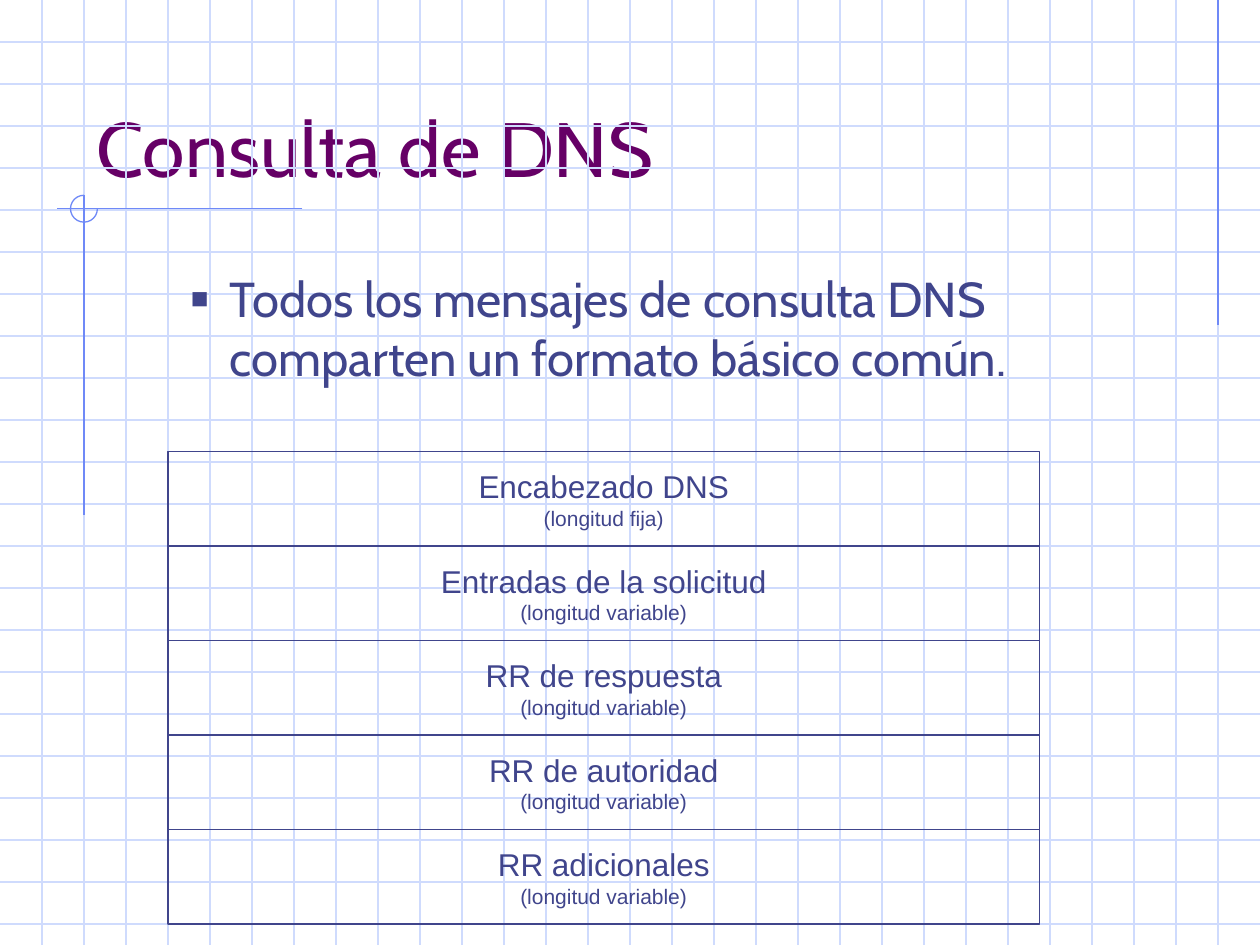
from typing import NamedTuple

from lxml import etree
from pptx import Presentation
from pptx.dml.color import RGBColor
from pptx.enum.shapes import MSO_CONNECTOR, MSO_SHAPE
from pptx.enum.text import MSO_ANCHOR, MSO_AUTO_SIZE, PP_ALIGN
from pptx.oxml.ns import qn
from pptx.util import Inches, Pt

STRAIGHT = MSO_CONNECTOR.STRAIGHT
RECTANGLE, ARC = MSO_SHAPE.RECTANGLE, MSO_SHAPE.ARC
TOP, MIDDLE, BOTTOM = MSO_ANCHOR.TOP, MSO_ANCHOR.MIDDLE, MSO_ANCHOR.BOTTOM
LEFT, CENTER = PP_ALIGN.LEFT, PP_ALIGN.CENTER
NO_AUTOFIT = MSO_AUTO_SIZE.NONE

COLORS = {"grid": "CFDBFD", "accent": "6F89F7", "title": "660066", "text": "40458C"}
COLUMNS, ROWS = 30, 22.5  # square cells of a third of an inch
CELL = Inches(10) // COLUMNS
LINE_WIDTH = Pt(0.75)


class Segment(NamedTuple):
    """A straight line, in grid columns and rows."""
    x1: float
    y1: float
    x2: float
    y2: float


class Box(NamedTuple):
    """An area, in grid columns and rows."""
    column: float
    row: float
    width: float
    height: float


class Section(NamedTuple):
    name: str
    length: str


ACCENT_LINES = [
    Segment(29, 0, 29, 7.74),
    Segment(7.2, 4.97, 1.36, 4.97),
    Segment(2, 4.65, 2, 12.27),
]
ACCENT_ARC = Box(1.68, 4.65, 0.64, 0.64)
TITLE_BOX = Box(2, 1, 25.5, 3.75)
BODY_BOX = Box(2.75, 6.25, 25.5, 13.5)
FIRST_SECTION = Box(4, 10.75, 20.75, 2.25)
SECTIONS = [
    Section("Encabezado DNS", "(longitud fija)"),
    Section("Entradas de la solicitud", "(longitud variable)"),
    Section("RR de respuesta", "(longitud variable)"),
    Section("RR de autoridad", "(longitud variable)"),
    Section("RR adicionales", "(longitud variable)"),
]


def color(name: str) -> RGBColor:
    return RGBColor.from_string(COLORS[name])


def lengths(values: tuple) -> list[int]:
    return [round(value * CELL) for value in values]


def style_line(line, color_name: str) -> None:
    line.color.rgb = color(color_name)
    line.width = LINE_WIDTH


def draw_segment(slide, segment: Segment, color_name: str) -> None:
    connector = slide.shapes.add_connector(STRAIGHT, *lengths(segment))
    style_line(connector.line, color_name)
    etree.SubElement(connector._element.spPr, qn("a:effectLst"))


def draw_outline(slide, kind, box: Box, color_name: str):
    """Add an unfilled preset shape."""
    shape = slide.shapes.add_shape(kind, *lengths(box))
    shape.shadow.inherit = False
    shape.fill.background()
    style_line(shape.line, color_name)
    return shape


def format_paragraph(paragraph, font_name: str, size: float, color_name: str,
                     alignment=LEFT) -> None:
    paragraph.alignment = alignment
    for run in paragraph.runs:
        run.font.name = font_name
        run.font.size = Pt(size)
        run.font.color.rgb = color(color_name)


def draw_background(slide) -> None:
    for row in range(1, int(ROWS) + 1):
        draw_segment(slide, Segment(0, row, COLUMNS, row), "grid")
    for column in range(1, COLUMNS):
        draw_segment(slide, Segment(column, 0, column, ROWS), "grid")
    for segment in ACCENT_LINES:
        draw_segment(slide, segment, "accent")
    arc = draw_outline(slide, ARC, ACCENT_ARC, "accent")
    arc.adjustments[0] = 0
    arc.adjustments[1] = 162  # 270 degrees


def write_title(slide, text: str) -> None:
    title = slide.shapes.title
    title.left, title.top, title.width, title.height = lengths(TITLE_BOX)
    frame = title.text_frame
    frame.text = text
    frame.auto_size = NO_AUTOFIT
    frame.vertical_anchor = BOTTOM
    format_paragraph(frame.paragraphs[0], "Cabin", 44, "title")


def add_square_bullet(paragraph) -> None:
    properties = paragraph._p.get_or_add_pPr()
    properties.set("marL", str(Inches(0.81)))
    properties.set("indent", str(Inches(-0.31)))
    bullet_color = etree.SubElement(properties, qn("a:buClr"))
    etree.SubElement(bullet_color, qn("a:srgbClr"), val=COLORS["text"])
    etree.SubElement(properties, qn("a:buSzPct"), val="60000")
    etree.SubElement(properties, qn("a:buFont"), typeface="Arial")
    etree.SubElement(properties, qn("a:buChar"), char="■")


def write_body(slide, text: str) -> None:
    frame = slide.shapes.add_textbox(*lengths(BODY_BOX)).text_frame
    frame.word_wrap = True
    frame.vertical_anchor = TOP
    frame.text = text
    paragraph = frame.paragraphs[0]
    format_paragraph(paragraph, "Cabin", 28, "text")
    paragraph.space_before = Pt(7)
    add_square_bullet(paragraph)


def draw_section(slide, section: Section, index: int) -> None:
    box = FIRST_SECTION._replace(row=FIRST_SECTION.row + index * FIRST_SECTION.height)
    frame = draw_outline(slide, RECTANGLE, box, "text").text_frame
    frame.word_wrap = False
    frame.vertical_anchor = MIDDLE
    frame.text = "\n".join(section)
    for paragraph, size in zip(frame.paragraphs, (18, 12)):
        format_paragraph(paragraph, "Arial", size, "text", CENTER)


def main() -> None:
    presentation = Presentation()
    presentation.slide_width = round(COLUMNS * CELL)
    presentation.slide_height = round(ROWS * CELL)
    slide = presentation.slides.add_slide(presentation.slide_layouts.get_by_name("Title Only"))
    draw_background(slide)
    write_title(slide, "Consulta de DNS")
    write_body(slide, "Todos los mensajes de consulta DNS comparten un formato básico común.")
    for index, section in enumerate(SECTIONS):
        draw_section(slide, section, index)
    presentation.save("out.pptx")


if __name__ == "__main__":
    main()
